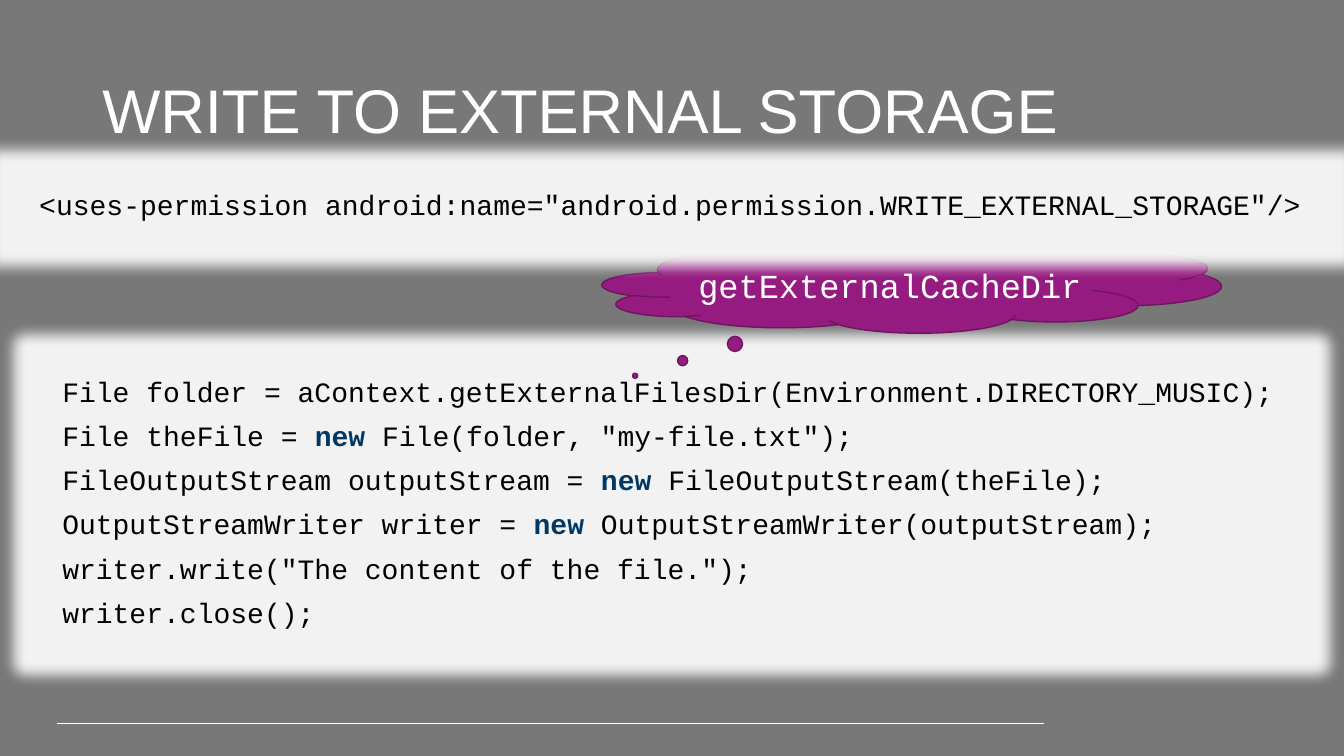
from lxml import etree
from pptx import Presentation
from pptx.dml.color import RGBColor
from pptx.enum import shapes, text
from pptx.oxml import ns
from pptx.util import Cm, Pt

WHITE = RGBColor(0xFF, 0xFF, 0xFF)
BLACK = RGBColor(0, 0, 0)
GREY = RGBColor(0x78, 0x78, 0x78)
PANEL = RGBColor(0xF2, 0xF2, 0xF2)
KEYWORD = RGBColor(0x00, 0x38, 0x65)
PURPLE = RGBColor(0x96, 0x1B, 0x81)
DARK_PURPLE = RGBColor(0x6F, 0x14, 0x5F)

PERMISSION = ['<uses-permission android:name="android.permission.WRITE_EXTERNAL_STORAGE"/>']
WRITE_CODE = [
    "File folder = aContext.getExternalFilesDir(Environment.DIRECTORY_MUSIC);",
    'File theFile = new File(folder, "my-file.txt");',
    "FileOutputStream outputStream = new FileOutputStream(theFile);",
    "OutputStreamWriter writer = new OutputStreamWriter(outputStream);",
    'writer.write("The content of the file.");',
    "writer.close();",
]


def add_run(paragraph, words, font, size, color, bold=False):
    run = paragraph.add_run()
    run.text = words
    run.font.name = font
    run.font.size = Pt(size)
    run.font.color.rgb = color
    run.font.bold = bold


def add_glow(shape, color, radius):
    """Surround the shape with a soft border of the given colour."""
    shape.shadow.inherit = False
    effects = shape._element.spPr.find(ns.qn("a:effectLst"))
    glow = etree.SubElement(effects, ns.qn("a:glow"), rad=str(radius))
    etree.SubElement(glow, ns.qn("a:srgbClr"), val=str(color))


def add_title(slide, words):
    title = slide.shapes.add_textbox(Cm(2.33), Cm(1.01), Cm(29.21), Cm(3.68))
    frame = title.text_frame
    frame.word_wrap = True
    frame.vertical_anchor = text.MSO_ANCHOR.MIDDLE
    frame.paragraphs[0].line_spacing = 0.9
    add_run(frame.paragraphs[0], words, "Arial", 44, WHITE)


def add_code_panel(slide, lines, left, top, width, height):
    panel = slide.shapes.add_shape(
        shapes.MSO_SHAPE.RECTANGLE, left, top, width, height)
    panel.fill.solid()
    panel.fill.fore_color.rgb = PANEL
    panel.line.fill.background()
    add_glow(panel, PANEL, Pt(18))
    frame = panel.text_frame
    frame.word_wrap = True
    frame.vertical_anchor = text.MSO_ANCHOR.TOP
    for index, line in enumerate(lines):
        paragraph = frame.add_paragraph() if index else frame.paragraphs[0]
        paragraph.alignment = text.PP_ALIGN.LEFT
        paragraph.line_spacing = 0.9
        paragraph.space_before = Pt(10 if index else 0)
        before, keyword, after = line.partition("new ")
        add_run(paragraph, before, "Courier New", 20, BLACK)
        if keyword:
            add_run(paragraph, keyword, "Courier New", 20, KEYWORD, bold=True)
            add_run(paragraph, after, "Courier New", 20, BLACK)


def add_thought(slide, words):
    cloud = slide.shapes.add_shape(
        shapes.MSO_SHAPE.CLOUD_CALLOUT, Cm(15.18), Cm(6.1), Cm(15.6), Cm(2.29))
    cloud.adjustments[0] = -0.447
    cloud.adjustments[1] = 0.972
    cloud.shadow.inherit = False
    cloud.fill.solid()
    cloud.fill.fore_color.rgb = PURPLE
    cloud.line.color.rgb = DARK_PURPLE
    cloud.line.width = Pt(1)
    frame = cloud.text_frame
    frame.vertical_anchor = text.MSO_ANCHOR.MIDDLE
    frame.paragraphs[0].alignment = text.PP_ALIGN.CENTER
    add_run(frame.paragraphs[0], words, "Courier New", 24, WHITE)


def add_footer_rule(slide):
    rule = slide.shapes.add_connector(
        shapes.MSO_CONNECTOR.STRAIGHT, Cm(1.44), Cm(18.23), Cm(26.32), Cm(18.23))
    rule.line.color.rgb = WHITE
    rule.line.width = Pt(0.75)
    etree.SubElement(rule._element.spPr, ns.qn("a:effectLst"))


def main():
    deck = Presentation()
    deck.slide_width, deck.slide_height = Cm(33.87), Cm(19.05)
    slide = deck.slides.add_slide(deck.slide_layouts[6])
    slide.background.fill.solid()
    slide.background.fill.fore_color.rgb = GREY

    add_footer_rule(slide)
    add_title(slide, "WRITE TO EXTERNAL STORAGE")
    add_code_panel(slide, WRITE_CODE, Cm(1.32), Cm(9.4), Cm(31.24), Cm(6.65))
    add_thought(slide, "getExternalCacheDir")
    add_code_panel(slide, PERMISSION, Cm(0.74), Cm(4.7), Cm(32.39), Cm(1.02))
    deck.save("out.pptx")


if __name__ == "__main__":
    main()
